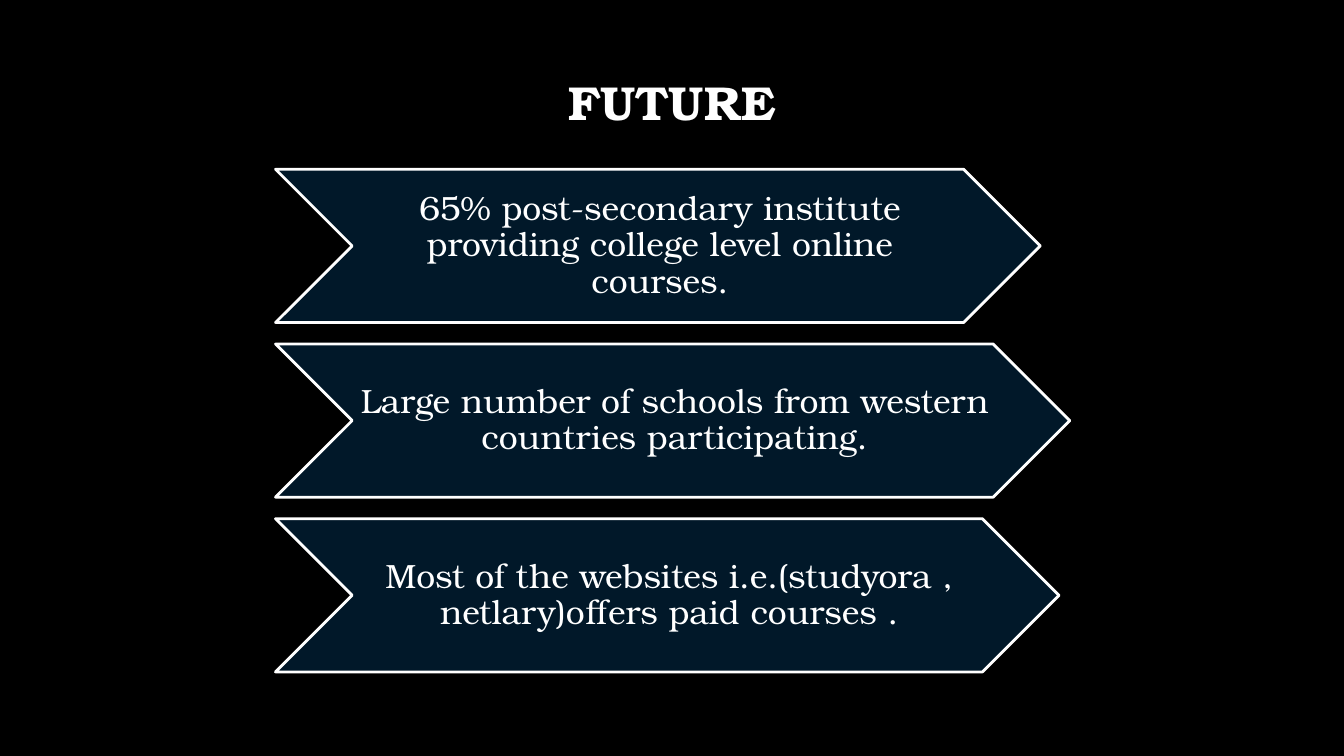
import pptx
import pptx.dml.color
import pptx.enum.shapes
import pptx.enum.text
import pptx.util
from pptx.util import Inches

FONT = "TeX Gyre Bonum"
BLACK, WHITE, NAVY = "000000", "FFFFFF", "011829"

SLIDE_WIDTH = 10
SLIDE_HEIGHT = SLIDE_WIDTH * 9 / 16

CHEVRON_LEFT, CHEVRON_TOP = 2.05, 1.26
CHEVRON_HEIGHT, CHEVRON_PITCH = 1.14, 1.3
CHEVRONS = [
    (5.69, "65% post-secondary institute providing college level online courses."),
    (5.91, "Large number of schools from western countries participating."),
    (5.83, "Most of the websites i.e.(studyora , netlary)offers paid courses ."),
]


def color(value):
    return pptx.dml.color.RGBColor.from_string(value)


def set_attributes(target, values):
    for name, value in values.items():
        setattr(target, name, value)


def write_text(shape, text, size, anchor, margins, bold=False):
    """Write one centred paragraph; margins are left, top, right, bottom in inches."""
    left, top, right, bottom = map(Inches, margins)
    frame = shape.text_frame
    set_attributes(frame, {
        "word_wrap": True,
        "auto_size": pptx.enum.text.MSO_AUTO_SIZE.NONE,
        "vertical_anchor": anchor,
        "margin_left": left,
        "margin_top": top,
        "margin_right": right,
        "margin_bottom": bottom,
    })
    paragraph = frame.paragraphs[0]
    set_attributes(paragraph, {
        "alignment": pptx.enum.text.PP_ALIGN.CENTER,
        "line_spacing": 0.9,
        "space_before": pptx.util.Pt(0),
    })
    run = paragraph.add_run()
    run.text = text
    set_attributes(run.font, {"name": FONT, "size": pptx.util.Pt(size), "bold": bold})
    run.font.color.rgb = color(WHITE)


def add_title(slide, text):
    title = slide.shapes.title
    set_attributes(title, {
        "left": Inches(0.34),
        "top": Inches(0.49),
        "width": Inches(9.32),
        "height": Inches(0.63),
    })
    write_text(title, text, 25.5, pptx.enum.text.MSO_ANCHOR.TOP, [0.1] * 4, bold=True)


def add_chevron(shapes, top, width, text):
    """Add a chevron with its text in the box between notch and tip."""
    chevron = shapes.add_shape(
        pptx.enum.shapes.MSO_SHAPE.CHEVRON,
        Inches(CHEVRON_LEFT), Inches(top), Inches(width), Inches(CHEVRON_HEIGHT))
    chevron.shadow.inherit = False
    chevron.fill.solid()
    chevron.fill.fore_color.rgb = color(NAVY)
    chevron.line.color.rgb = color(WHITE)
    chevron.line.width = pptx.util.Pt(1.5)

    label = shapes.add_textbox(
        Inches(CHEVRON_LEFT + CHEVRON_HEIGHT / 2), Inches(top),
        Inches(width - CHEVRON_HEIGHT), Inches(CHEVRON_HEIGHT))
    write_text(label, text, 18, pptx.enum.text.MSO_ANCHOR.MIDDLE, [0.03, 0.01, 0, 0.01])


def main():
    presentation = pptx.Presentation()
    presentation.slide_width = Inches(SLIDE_WIDTH)
    presentation.slide_height = Inches(SLIDE_HEIGHT)
    slide = presentation.slides.add_slide(presentation.slide_layouts[5])
    slide.background.fill.solid()
    slide.background.fill.fore_color.rgb = color(BLACK)

    add_title(slide, "FUTURE")
    group = slide.shapes.add_group_shape()
    for row, (width, text) in enumerate(CHEVRONS):
        add_chevron(group.shapes, CHEVRON_TOP + row * CHEVRON_PITCH, width, text)

    presentation.save("out.pptx")


if __name__ == "__main__":
    main()
